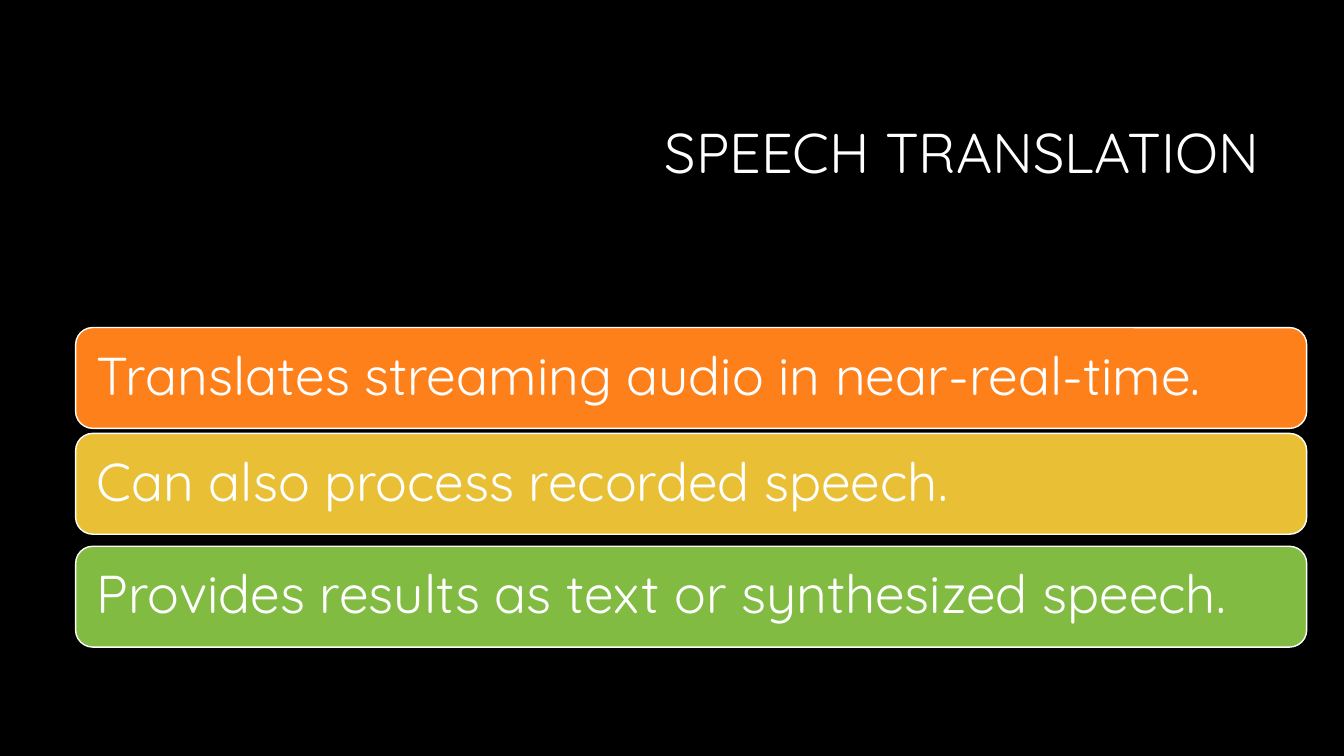
from dataclasses import dataclass

from pptx import Presentation
from pptx.dml.color import RGBColor
from pptx.enum.shapes import MSO_SHAPE
from pptx.enum.text import MSO_ANCHOR, MSO_AUTO_SIZE, PP_ALIGN
from pptx.util import Inches, Pt

TITLE = "SPEECH TRANSLATION"
# text, fill colour, top in inches
BARS = [
    ("Translates streaming audio in near-real-time.", "FE801A", 3.25),
    ("Can also process recorded speech.", "E9BF35", 4.3),
    ("Provides results as text or synthesized speech.", "81BB42", 5.42),
]
BAR_LEFT, BAR_WIDTH, BAR_HEIGHT = 0.75, 12.21, 1
CORNER_RADIUS = 0.17
BAR_INSET = 0.16


@dataclass(frozen=True)
class Theme:
    font: str = "Quicksand"
    background: str = "000000"
    text: str = "FFFFFF"
    outline: str = "FFFFFF"
    title_size: int = 40
    bar_size: int = 38


THEME = Theme()


def rgb(value):
    return RGBColor.from_string(value)


def write(shape, text, size, align):
    tf = shape.text_frame
    tf.text = text
    tf.word_wrap = True
    tf.auto_size = MSO_AUTO_SIZE.NONE
    tf.vertical_anchor = MSO_ANCHOR.MIDDLE
    p = tf.paragraphs[0]
    p.alignment = align
    p.line_spacing = 0.9
    p.font.name = THEME.font
    p.font.size = Pt(size)
    p.font.color.rgb = rgb(THEME.text)


def add_title(slide):
    title = slide.shapes.title
    title.left, title.top = Inches(3.17), Inches(0.84)
    title.width, title.height = Inches(9.42), Inches(1.41)
    write(title, TITLE, THEME.title_size, PP_ALIGN.RIGHT)


def add_bar(slide, text, fill, top):
    bar = slide.shapes.add_shape(
        MSO_SHAPE.ROUNDED_RECTANGLE, Inches(BAR_LEFT), Inches(top),
        Inches(BAR_WIDTH), Inches(BAR_HEIGHT))
    bar.adjustments[0] = CORNER_RADIUS / BAR_HEIGHT
    bar.shadow.inherit = False
    bar.fill.solid()
    bar.fill.fore_color.rgb = rgb(fill)
    bar.line.color.rgb = rgb(THEME.outline)
    bar.line.width = Pt(1)
    tf = bar.text_frame
    tf.margin_left = tf.margin_right = Inches(BAR_INSET)
    tf.margin_top = tf.margin_bottom = Inches(BAR_INSET)
    write(bar, text, THEME.bar_size, PP_ALIGN.LEFT)


def main():
    prs = Presentation()
    prs.slide_width, prs.slide_height = Inches(13.33), Inches(7.5)
    slide = prs.slides.add_slide(prs.slide_layouts.get_by_name("Title Only"))
    background = slide.background.fill
    background.solid()
    background.fore_color.rgb = rgb(THEME.background)
    add_title(slide)
    for text, fill, top in BARS:
        add_bar(slide, text, fill, top)
    prs.save("out.pptx")


if __name__ == "__main__":
    main()
